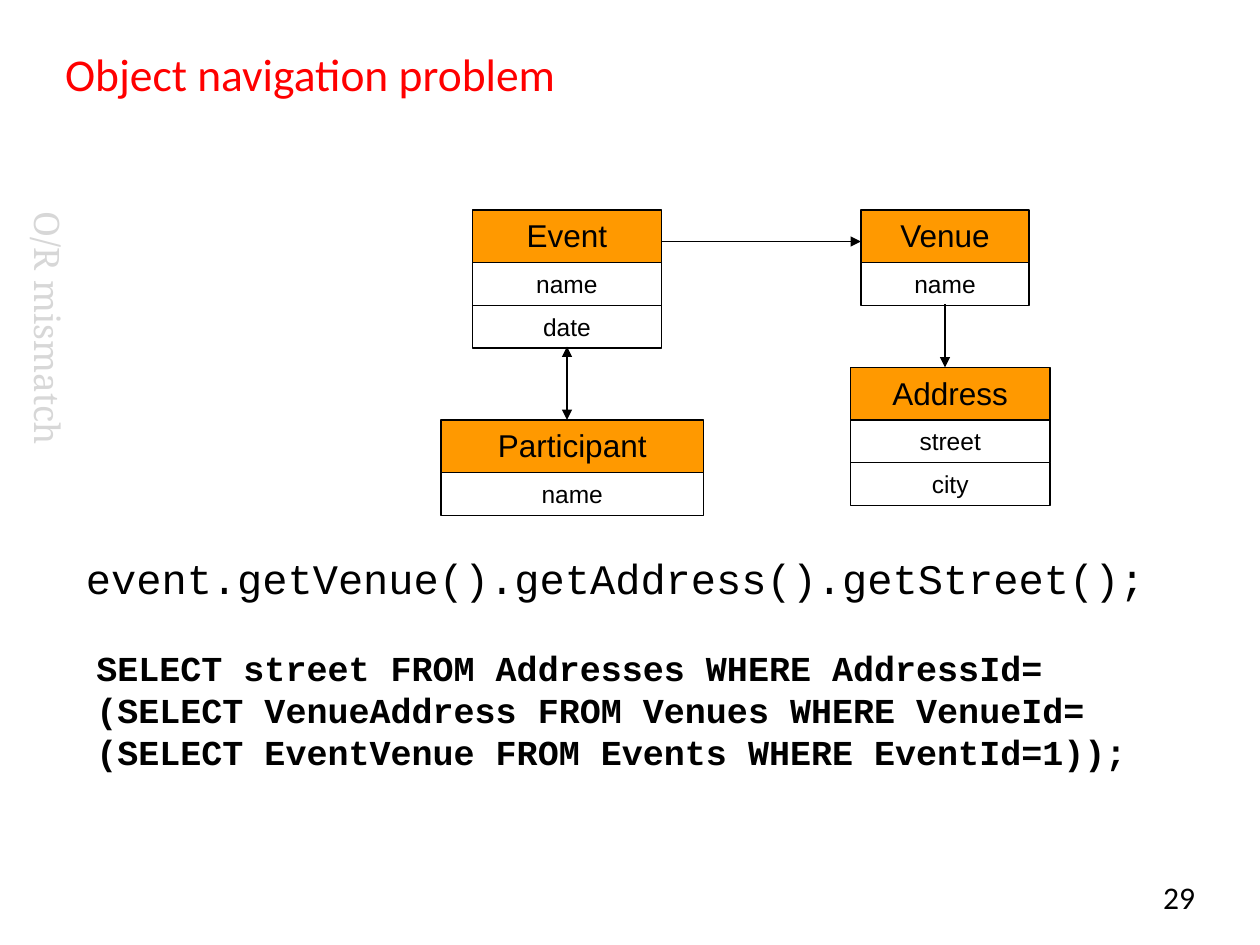
from lxml import etree
from pptx import Presentation
from pptx.dml.color import RGBColor
from pptx.enum.shapes import MSO_CONNECTOR, MSO_SHAPE
from pptx.enum.text import MSO_ANCHOR, PP_ALIGN
from pptx.oxml.ns import qn
from pptx.util import Pt

LEFT, CENTER, RIGHT = PP_ALIGN.LEFT, PP_ALIGN.CENTER, PP_ALIGN.RIGHT
MIDDLE, TOP = MSO_ANCHOR.MIDDLE, MSO_ANCHOR.TOP
RECTANGLE, STRAIGHT = MSO_SHAPE.RECTANGLE, MSO_CONNECTOR.STRAIGHT
BLACK, ORANGE = "000000", "FF9900"
HEADER_HEIGHT, FIELD_HEIGHT = 30, 24.5


def color(value):
    """Turn a hex string into a colour."""
    return RGBColor.from_string(value)


def write(box, lines, font, size, ink=BLACK, align=LEFT, anchor=TOP, bold=False):
    """Write lines of one paragraph into a shape."""
    frame = box.text_frame
    frame.word_wrap = True
    frame.vertical_anchor = anchor
    para = frame.paragraphs[0]
    para.alignment = align
    for index, line in enumerate(lines):
        if index:
            para.add_line_break()
        span = para.add_run()
        span.text = line
        span.font.name = font
        span.font.size = Pt(size)
        span.font.bold = bold
        span.font.color.rgb = color(ink)


deck = Presentation()
deck.slide_width, deck.slide_height = Pt(720), Pt(540)
page = deck.slides.add_slide(deck.slide_layouts[5])
shapes = page.shapes

title = shapes.title
title.left, title.top, title.width, title.height = Pt(30), Pt(24), Pt(654), Pt(36)
write(title, ["Object navigation problem"], "Calibri", 26, "FF0000", anchor=MIDDLE)

page_number = shapes.add_textbox(Pt(636), Pt(498), Pt(54), Pt(30))
write(page_number, ["29"], "Calibri", 18, align=RIGHT)

side_label = shapes.add_textbox(Pt(5), Pt(114), Pt(38), Pt(318))
write(side_label, ["O/R mismatch"], "Noto Serif", 20, "D7D7D7")
side_label.text_frame._txBody.bodyPr.set("vert", "eaVert")

call = shapes.add_textbox(Pt(42), Pt(312), Pt(624), Pt(36))
write(call, ["event.getVenue().getAddress().getStreet();"], "Courier New", 24)

query = shapes.add_textbox(Pt(48), Pt(366), Pt(612), Pt(79))
query_lines = [
    "SELECT street FROM Addresses WHERE AddressId=",
    "(SELECT VenueAddress FROM Venues WHERE VenueId=",
    "(SELECT EventVenue FROM Events WHERE EventId=1));",
]
write(query, query_lines, "Courier New", 20, bold=True)

# Each entity: left, top, width, name, fields
entities = [
    (270, 120, 108, "Event", ["name", "date"]),
    (252, 240, 150, "Participant", ["name"]),
    (492, 120, 96, "Venue", ["name"]),
    (486, 210, 114, "Address", ["street", "city"]),
]
for left, top, width, name, fields in entities:
    for index, text in enumerate([name] + fields):
        is_header = index == 0
        height = HEADER_HEIGHT if is_header else FIELD_HEIGHT
        box = shapes.add_shape(RECTANGLE, Pt(left), Pt(top), Pt(width), Pt(height))
        box.shadow.inherit = False
        if is_header:
            box.fill.solid()
            box.fill.fore_color.rgb = color(ORANGE)
        else:
            box.fill.background()
        box.line.color.rgb = color(BLACK)
        box.line.width = Pt(0.75)
        write(box, [text], "Arial", 18 if is_header else 14, align=CENTER)
        top += height

# Each relation: start x, start y, end x, end y, arrowheads
relations = [
    (324, 198, 324, 240, ["headEnd", "tailEnd"]),
    (378, 138, 492, 138, ["tailEnd"]),
    (540, 174, 540, 210, ["tailEnd"]),
]
for start_x, start_y, end_x, end_y, heads in relations:
    arrow = shapes.add_connector(STRAIGHT, Pt(start_x), Pt(start_y), Pt(end_x), Pt(end_y))
    arrow.line.color.rgb = color(BLACK)
    arrow.line.width = Pt(0.75)
    properties = arrow._element.spPr
    for head in heads:
        etree.SubElement(properties.find(qn("a:ln")), qn("a:" + head), type="triangle")
    etree.SubElement(properties, qn("a:effectLst"))

deck.save("out.pptx")
